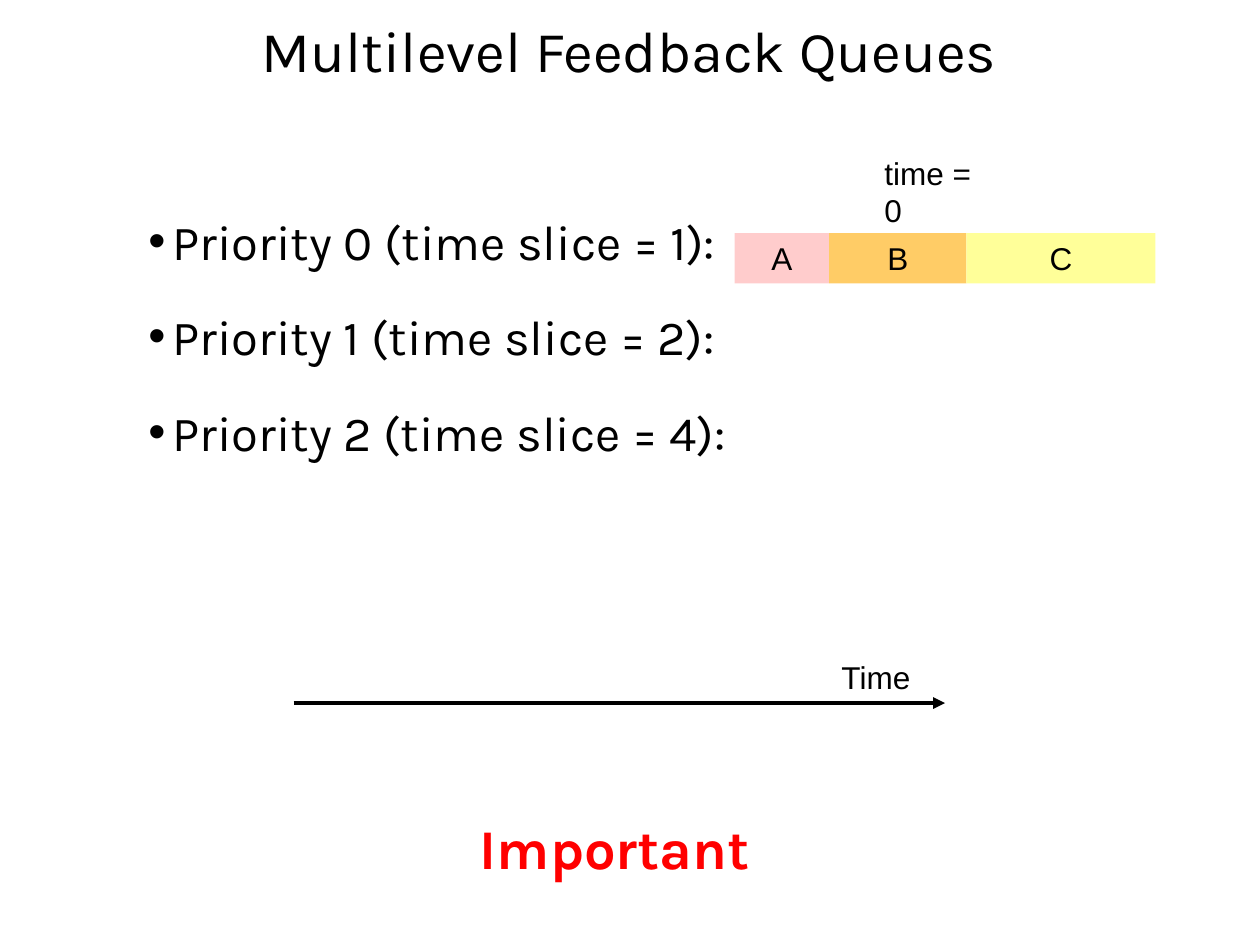
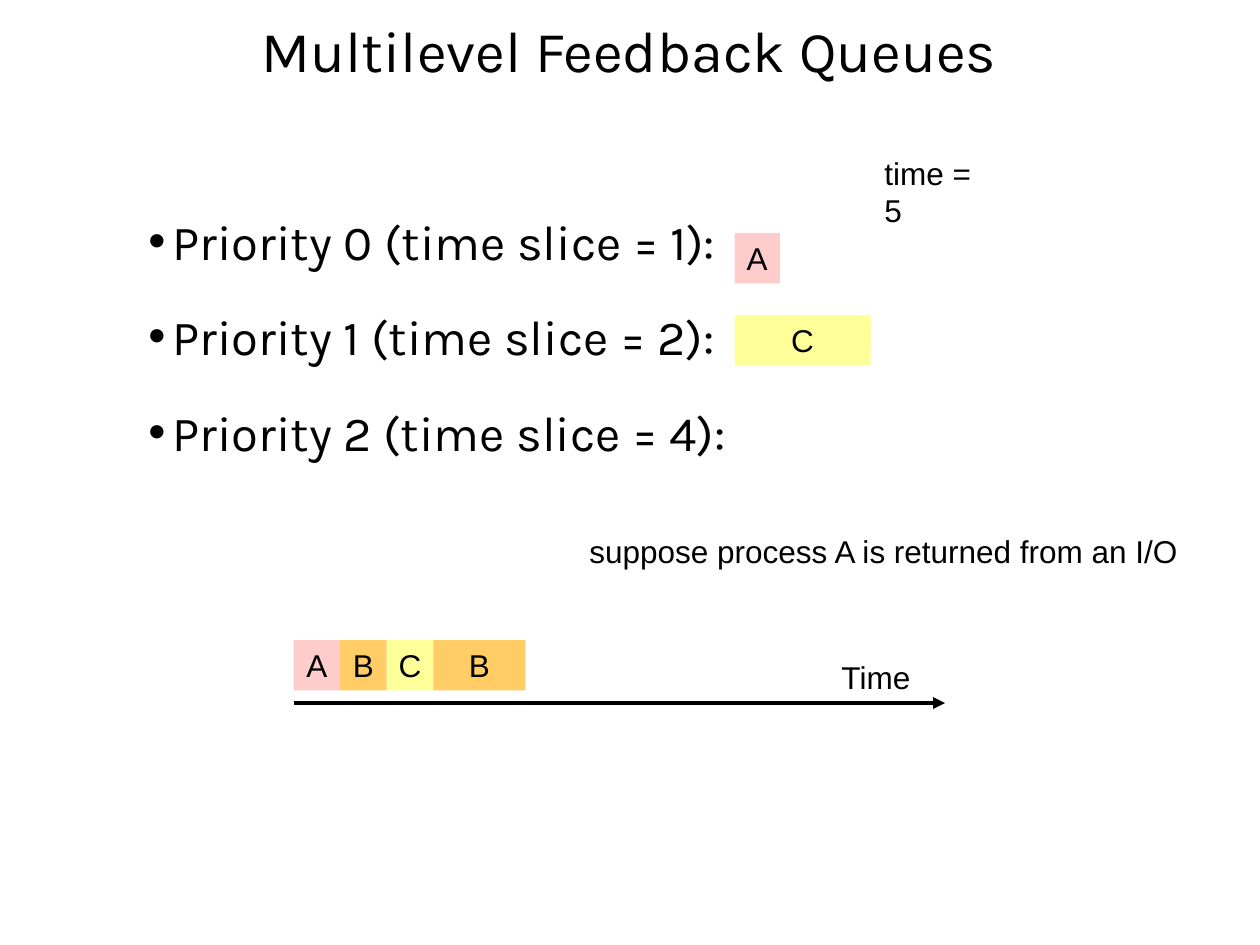
from lxml.etree import SubElement
from pptx import Presentation
from pptx.dml.color import RGBColor
from pptx.enum.shapes import MSO_CONNECTOR, MSO_SHAPE
from pptx.enum.text import MSO_ANCHOR, PP_ALIGN
from pptx.oxml.ns import qn
from pptx.util import Inches, Pt

TITLE = "Multilevel Feedback Queues"
PRIORITIES = [
    "Priority 0 (time slice = 1):",
    "Priority 1 (time slice = 2):",
    "Priority 2 (time slice = 4):",
]
BLACK, RED = "000000", "FF0000"
PROCESS_COLORS = {"A": "FFCCCC", "B": "FFCC66", "C": "FFFF99"}
HEADING_FONT, LABEL_FONT = "Karla", "Arial"

QUEUE_LEFT, QUEUE_TOP, QUEUE_PITCH = 5.83, 1.85, 0.65
TIMELINE_LEFT, TIMELINE_RIGHT, TIMELINE_TOP = 2.33, 7.5, 5.58
BLOCK_HEIGHT = 0.4
HISTORY_TOP = 5.08

SLIDES = [
    {
        "time": 0,
        "queues": {0: [("A", 0.75), ("B", 1.09), ("C", 1.5)]},
        "history": [],
        "remark": ("Important", (3.71, 6.41, 2.58, 0.64), HEADING_FONT, 32, RED, True),
    },
    {
        "time": 5,
        "queues": {0: [("A", 0.36)], 1: [("C", 1.08)]},
        "history": [("A", 0.37), ("B", 0.37), ("C", 0.37), ("B", 0.73)],
        "remark": ("suppose process A is returned from an I/O", (4.58, 4.17, 4.89, 0.4)),
    },
]


def color(hex_string):
    return RGBColor.from_string(hex_string)


def style(paragraph, font_name, size, hex_string, bold=False):
    for run in paragraph.runs:
        run.font.name = font_name
        run.font.size = Pt(size)
        run.font.color.rgb = color(hex_string)
        run.font.bold = bold


def add_text(slide, text, box, font_name=LABEL_FONT, size=18, hex_string=BLACK, bold=False):
    shape = slide.shapes.add_textbox(*map(Inches, box))
    shape.text_frame.text = text
    shape.text_frame.word_wrap = False
    for paragraph in shape.text_frame.paragraphs:
        style(paragraph, font_name, size, hex_string, bold)
    return shape.text_frame


def add_title(slide):
    text_frame = add_text(slide, TITLE, (0.33, 0, 9.33, 0.85), HEADING_FONT, 33)
    text_frame.word_wrap = True
    text_frame.vertical_anchor = MSO_ANCHOR.MIDDLE
    paragraph = text_frame.paragraphs[0]
    paragraph.alignment = PP_ALIGN.CENTER
    paragraph.line_spacing = 0.9


def add_priorities(slide):
    text_frame = add_text(
        slide, "\n".join(PRIORITIES), (1.08, 1.44, 5.5, 2.25), HEADING_FONT, 28
    )
    text_frame.word_wrap = True
    for index, paragraph in enumerate(text_frame.paragraphs):
        paragraph.line_spacing = 1.4
        paragraph.space_before = Pt(7.5 if index else 0)
        properties = paragraph._p.get_or_add_pPr()
        properties.set("marL", str(Inches(0.19)))
        properties.set("indent", str(Inches(-0.19)))
        bullet_color = SubElement(properties, qn("a:buClr"))
        SubElement(bullet_color, qn("a:srgbClr"), val=BLACK)
        SubElement(properties, qn("a:buFont"), typeface=LABEL_FONT)
        SubElement(properties, qn("a:buChar"), char="•")


def add_blocks(slide, blocks, left, top):
    for process, width in blocks:
        block = slide.shapes.add_shape(
            MSO_SHAPE.RECTANGLE, *map(Inches, (left, top, width, BLOCK_HEIGHT))
        )
        block.shadow.inherit = False
        block.fill.solid()
        block.fill.fore_color.rgb = color(PROCESS_COLORS[process])
        block.line.fill.background()
        block.text_frame.text = process
        block.text_frame.word_wrap = False
        paragraph = block.text_frame.paragraphs[0]
        paragraph.alignment = PP_ALIGN.CENTER
        style(paragraph, LABEL_FONT, 18, BLACK)
        left += width


def add_timeline(slide):
    arrow = slide.shapes.add_connector(
        MSO_CONNECTOR.STRAIGHT,
        *map(Inches, (TIMELINE_LEFT, TIMELINE_TOP, TIMELINE_RIGHT, TIMELINE_TOP)),
    )
    arrow.line.color.rgb = color(BLACK)
    arrow.line.width = Pt(2.25)
    SubElement(arrow.line._get_or_add_ln(), qn("a:tailEnd"), type="triangle")
    SubElement(arrow._element.spPr, qn("a:effectLst"))
    add_text(slide, "Time", (6.58, 5.17, 0.75, 0.4))


def build_slide(presentation, content):
    slide = presentation.slides.add_slide(presentation.slide_layouts[6])
    add_title(slide)
    add_text(slide, f"time = {content['time']}", (6.92, 1.17, 1.09, 0.4))
    for level, blocks in content["queues"].items():
        add_blocks(slide, blocks, QUEUE_LEFT, QUEUE_TOP + level * QUEUE_PITCH)
    add_blocks(slide, content["history"], TIMELINE_LEFT, HISTORY_TOP)
    add_timeline(slide)
    add_priorities(slide)
    add_text(slide, *content["remark"])


def main():
    presentation = Presentation()
    presentation.slide_width = Inches(10)
    presentation.slide_height = Inches(7.5)
    for content in SLIDES:
        build_slide(presentation, content)
    presentation.save("out.pptx")


if __name__ == "__main__":
    main()
